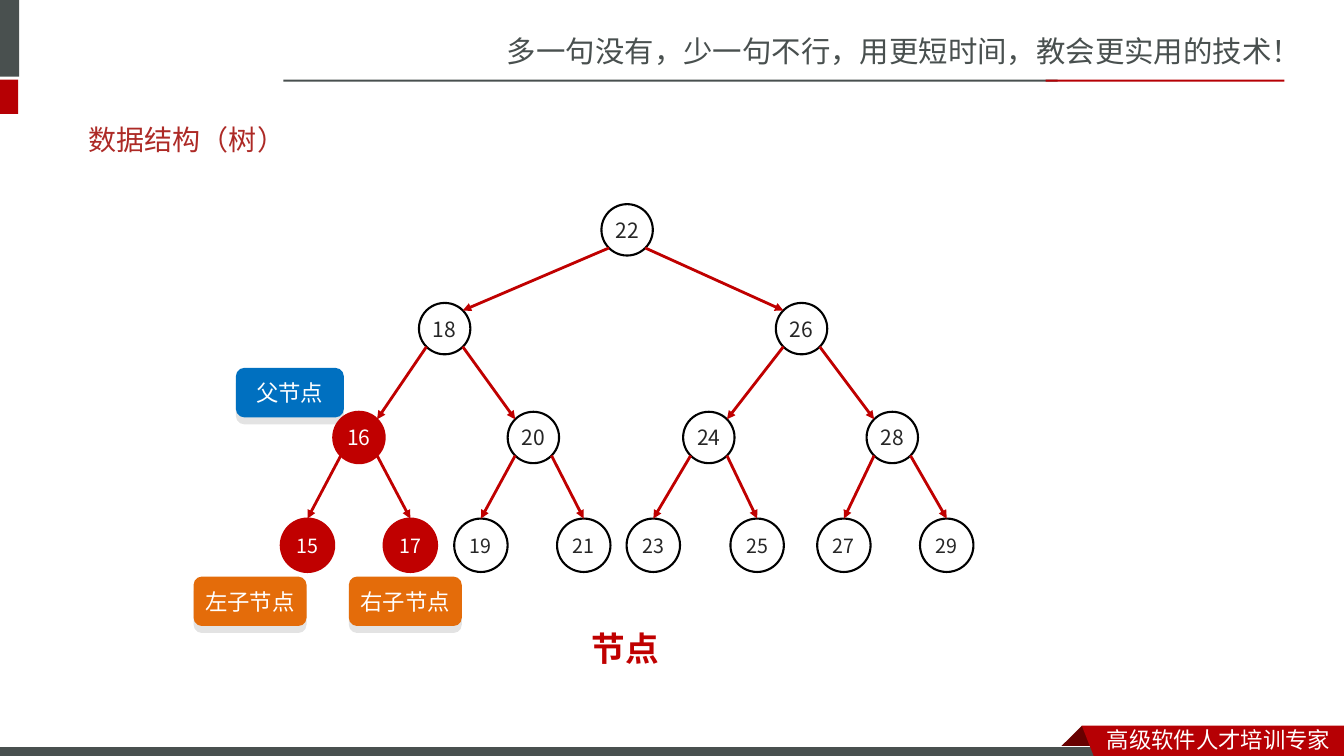
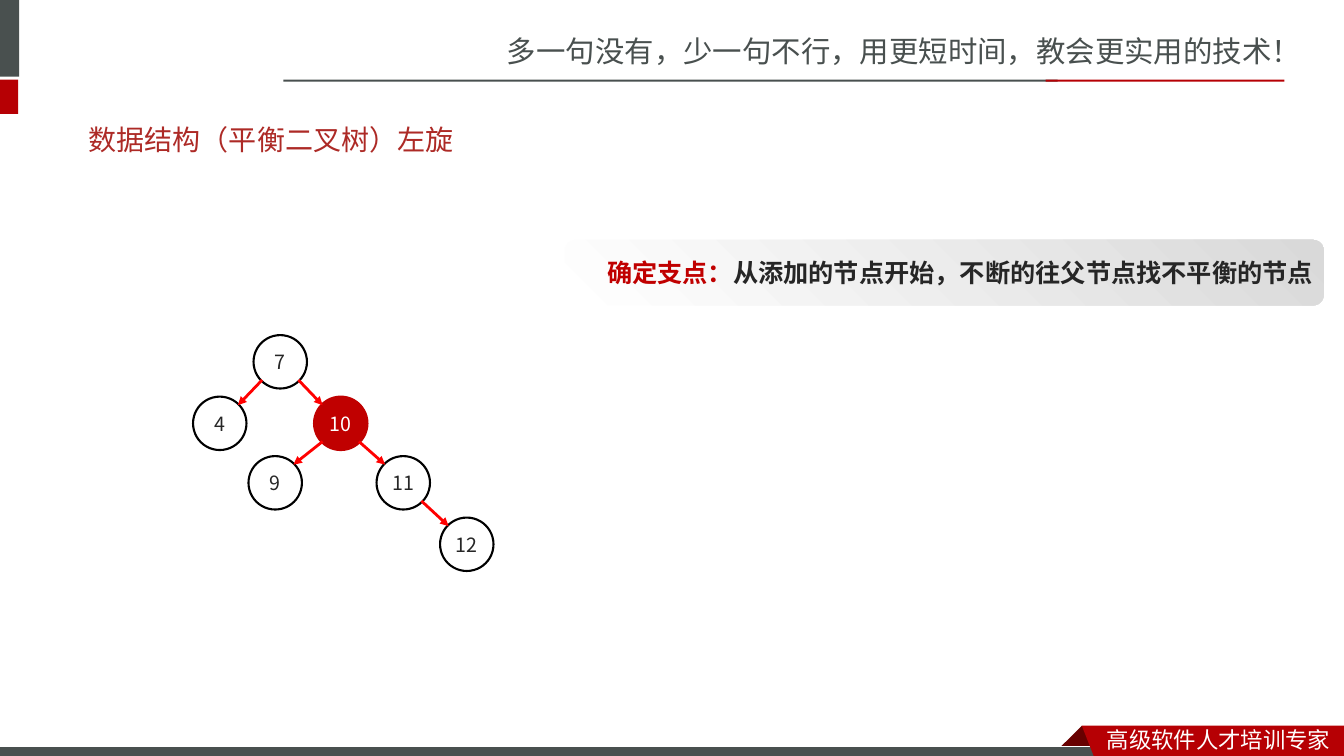
from lxml import etree
from pptx import Presentation
from pptx.dml.color import RGBColor
from pptx.enum.shapes import MSO_CONNECTOR, MSO_SHAPE
from pptx.enum.text import MSO_ANCHOR, PP_ALIGN
from pptx.oxml.ns import qn
from pptx.util import Inches, Pt

RECTANGLE = MSO_SHAPE.RECTANGLE
ROUNDED = MSO_SHAPE.ROUNDED_RECTANGLE
OVAL = MSO_SHAPE.OVAL
STRAIGHT = MSO_CONNECTOR.STRAIGHT
LEFT, CENTER = PP_ALIGN.LEFT, PP_ALIGN.CENTER
MIDDLE, TOP = MSO_ANCHOR.MIDDLE, MSO_ANCHOR.TOP

SANS = "Noto Sans CJK SC"
SANS_JP = "Noto Sans CJK JP"
TITLE_FONT = "Calibri"

WHITE, BLACK, INK = "FFFFFF", "000000", "262626"
GRAY, RED, DARK_RED = "49504F", "B60004", "680000"
TITLE_RED, ACCENT, ARROW_RED = "AD2A26", "C00000", "FF0000"
BLUE, ORANGE, SILVER = "0070C0", "E46C0A", "D9D9D9"

INNER_SIZE, LEAF_SIZE = 0.51, 0.53
CORNER = 0.18  # offset from a node's centre to its 45° point
TOP_SITE = 0


def rgb(color):
    return RGBColor.from_string(color)


def box(left, top, width, height):
    return [Inches(value) for value in (left, top, width, height)]


def add_run(paragraph, text, size, color, font=SANS, bold=False, east_asian=None):
    run = paragraph.add_run()
    run.text = text
    run.font.size = Pt(size)
    run.font.bold = bold
    run.font.name = font
    run.font.color.rgb = rgb(color)
    face = etree.SubElement(run._r.get_or_add_rPr(), qn("a:ea"))
    face.set("typeface", east_asian or font)


def set_frame(frame, margins=(0, 0, 0, 0), anchor=MIDDLE, wrap=False, align=CENTER):
    """Format the text frame and return its first paragraph."""
    (frame.margin_left, frame.margin_top,
     frame.margin_right, frame.margin_bottom) = map(Inches, margins)
    frame.vertical_anchor = anchor
    frame.word_wrap = wrap
    frame.paragraphs[0].alignment = align
    return frame.paragraphs[0]


def style_shape(shape, fill, line=None, line_width=0.75):
    shape.shadow.inherit = False
    shape.fill.solid()
    shape.fill.fore_color.rgb = rgb(fill)
    if line:
        shape.line.color.rgb = rgb(line)
        shape.line.width = Pt(line_width)
    else:
        shape.line.fill.background()


def add_block(slide, kind, place, fill, line=None, line_width=0.75):
    shape = slide.shapes.add_shape(kind, *box(*place))
    style_shape(shape, fill, line, line_width)
    return shape


def add_polygon(slide, points, fill):
    corners = [(Inches(x), Inches(y)) for x, y in points]
    builder = slide.shapes.build_freeform(*corners[0])
    builder.add_line_segments(corners[1:], close=True)
    style_shape(builder.convert_to_shape(), fill)


def add_text(slide, place, text, size, color, bold=False):
    text_box = slide.shapes.add_textbox(*box(*place))
    paragraph = set_frame(text_box.text_frame, (0.1, 0.05, 0.1, 0.05),
                          TOP, True, LEFT)
    add_run(paragraph, text, size, color, bold=bold)


def add_node(slide, value, x, y, size, text_size, active=False):
    """Draw a round tree node centred on x, y."""
    fill, line, color = (ACCENT, ACCENT, WHITE) if active else (WHITE, BLACK, INK)
    place = (x - size / 2, y - size / 2, size, size)
    node = add_block(slide, OVAL, place, fill, line, 1.5)
    add_run(set_frame(node.text_frame), str(value), text_size, color)
    return node


def add_arrow(slide, parent, child, color):
    """Draw an arrow between the facing 45° points of two node centres."""
    side = 1 if child[0] > parent[0] else -1
    connector = slide.shapes.add_connector(
        STRAIGHT,
        Inches(parent[0] + side * CORNER), Inches(parent[1] + CORNER),
        Inches(child[0] - side * CORNER), Inches(child[1] - CORNER))
    connector.line.color.rgb = rgb(color)
    connector.line.width = Pt(2)
    properties = connector._element.spPr
    etree.SubElement(properties.find(qn("a:ln")), qn("a:tailEnd"), type="triangle")
    etree.SubElement(properties, qn("a:effectLst"))
    return connector


def add_label(slide, place, text, fill):
    label = add_block(slide, ROUNDED, place, fill)
    effects = label._element.spPr.find(qn("a:effectLst"))
    shadow = etree.SubElement(effects, qn("a:outerShdw"), blurRad="0",
                              dist=str(Pt(5)), dir="5400000", rotWithShape="0")
    shade = etree.SubElement(shadow, qn("a:srgbClr"), val=BLACK)
    etree.SubElement(shade, qn("a:alpha"), val="11000")
    add_run(set_frame(label.text_frame), text, 16, WHITE, SANS_JP)


def add_banner(slide, place, heading, text):
    banner = add_block(slide, ROUNDED, place, WHITE)
    banner.fill.gradient()
    banner.fill.gradient_angle = 45
    for stop, color in zip(banner.fill.gradient_stops, (WHITE, SILVER)):
        stop.color.rgb = rgb(color)
    paragraph = set_frame(banner.text_frame, (0.39, 0, 0, 0), align=LEFT)
    add_run(paragraph, heading, 18, ACCENT, SANS_JP, True)
    add_run(paragraph, text, 18, INK, SANS_JP, True)


def draw_frame(slide):
    add_text(slide, (4.93, 0.28, 8.41, 0.47),
             "多一句没有，少一句不行，用更短时间，教会更实用的技术！", 21, GRAY)
    add_block(slide, RECTANGLE, (-0.06, 0, 0.25, 0.76), GRAY)
    add_block(slide, RECTANGLE, (-0.06, 0.79, 0.24, 0.34), RED)
    add_block(slide, RECTANGLE, (2.81, 0.79, 7.68, 0.02), GRAY)
    add_block(slide, RECTANGLE, (10.37, 0.79, 2.37, 0.02), RED)
    add_polygon(slide, [(10.73, 7.2), (10.95, 7.42), (10.94, 7.43),
                        (10.52, 7.43), (10.51, 7.42)], DARK_RED)
    add_block(slide, RECTANGLE, (-0.01, 7.41, 11, 0.12), GRAY, WHITE)
    add_polygon(slide, [(10.73, 7.2), (13.33, 7.2), (13.33, 7.54),
                        (10.86, 7.53)], RED)
    add_text(slide, (10.88, 7.15, 2.45, 0.37), "高级软件人才培训专家", 16, WHITE)


def prepare_layout(slide):
    """Draw the shared frame and move it into the slide's layout."""
    layout = slide.slide_layout
    title = layout.placeholders[0]
    title.left, title.top, title.width, title.height = box(0.78, 1.1, 5, 0.57)
    draw_frame(slide)
    tree = layout.shapes._spTree
    next_id = max(shape.shape_id for shape in layout.shapes) + 1
    frame_shapes = [shape for shape in slide.shapes if not shape.is_placeholder]
    for offset, shape in enumerate(frame_shapes):
        shape._element.xpath(".//p:cNvPr")[0].set("id", str(next_id + offset))
        tree.insert(2 + offset, shape._element)


def set_title(slide, text):
    paragraph = set_frame(slide.shapes.title.text_frame, (0.1, 0.05, 0.1, 0.05),
                          wrap=True, align=LEFT)
    add_run(paragraph, text, 20, TITLE_RED, TITLE_FONT, east_asian=SANS)


def build_tree_slide(slide):
    set_title(slide, "数据结构（树）")
    add_text(slide, (5.77, 6.18, 0.91, 0.5), "节点", 24, ACCENT, True)
    add_label(slide, (2.34, 3.65, 1.07, 0.49), "父节点", BLUE)
    for left, text in ((1.92, "左子节点"), (3.46, "右子节点")):
        add_label(slide, (left, 5.72, 1.12, 0.49), text, ORANGE)

    levels = [
        (2.28, [(22, 6.22)]),
        (3.26, [(18, 4.41), (26, 7.95)]),
        (4.34, [(16, 3.56), (20, 5.29), (24, 7.03), (28, 8.85)]),
        (5.41, [(15, 3.05), (17, 4.07), (19, 4.77), (21, 5.79),
                (23, 6.48), (25, 7.51), (27, 8.37), (29, 9.39)]),
    ]
    parents = []
    for depth, (y, row) in enumerate(levels):
        is_leaf = depth == len(levels) - 1
        size, text_size = (LEAF_SIZE, 14) if is_leaf else (INNER_SIZE, 15)
        for index, (value, x) in enumerate(row):
            node = add_node(slide, value, x, y, size, text_size,
                            value in (15, 16, 17))
            if parents:
                arrow = add_arrow(slide, parents[index // 2], (x, y), ACCENT)
                if is_leaf:
                    arrow.end_connect(node, TOP_SITE)
        parents = [(x, y) for _, x in row]


def build_rotation_slide(slide):
    set_title(slide, "数据结构（平衡二叉树）左旋")
    centers = {7: (2.78, 3.59), 4: (2.18, 4.2), 10: (3.38, 4.2),
               9: (2.73, 4.79), 11: (4, 4.79), 12: (4.63, 5.4)}
    for value, (x, y) in centers.items():
        add_node(slide, value, x, y, LEAF_SIZE, 14, value == 10)
    for parent, child in ((7, 4), (7, 10), (10, 9), (10, 11), (11, 12)):
        add_arrow(slide, centers[parent], centers[child], ARROW_RED)
    add_banner(slide, (5.6, 2.38, 7.53, 0.65), "确定支点：",
               "从添加的节点开始，不断的往父节点找不平衡的节点")


def main():
    presentation = Presentation()
    presentation.slide_width = Inches(13.33)
    presentation.slide_height = Inches(7.5)
    title_only = presentation.slide_layouts[5]
    tree_slide, rotation_slide = [presentation.slides.add_slide(title_only)
                                  for _ in range(2)]
    prepare_layout(tree_slide)
    build_tree_slide(tree_slide)
    build_rotation_slide(rotation_slide)
    presentation.save("out.pptx")


if __name__ == "__main__":
    main()
